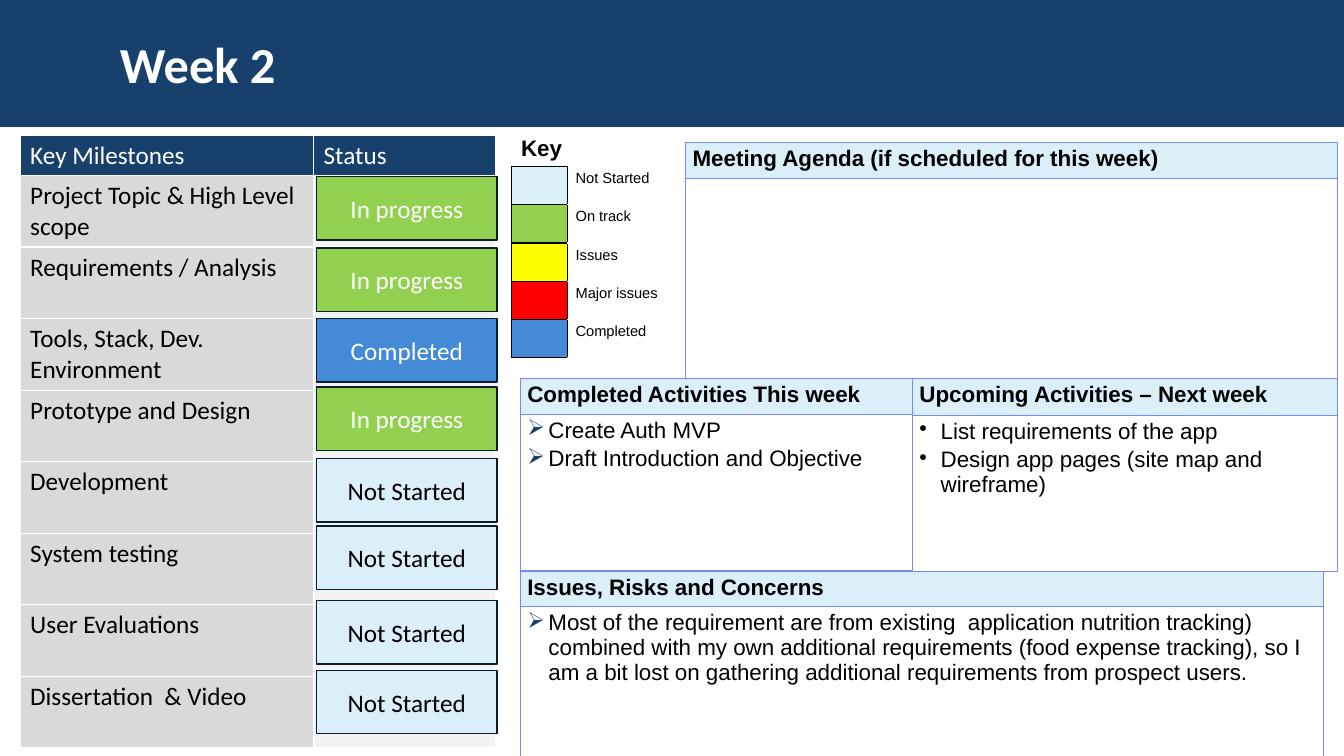
from lxml import etree
from pptx import Presentation, util as u
from pptx.dml.color import RGBColor
from pptx.enum import shapes, text
from pptx.oxml import ns

PX = 9144  # 100 px to the inch

NAVY = RGBColor(0x17, 0x40, 0x6D)
INK = RGBColor(0x0A, 0x1C, 0x30)
WHITE = RGBColor(0xFF, 0xFF, 0xFF)
BLACK = RGBColor(0x00, 0x00, 0x00)
GREY = RGBColor(0xD9, 0xD9, 0xD9)
PALE_GREY = RGBColor(0xF2, 0xF2, 0xF2)
PALE_BLUE = RGBColor(0xDB, 0xEF, 0xF9)
GREEN = RGBColor(0x92, 0xD0, 0x50)
YELLOW = RGBColor(0xFF, 0xFF, 0x00)
RED = RGBColor(0xFF, 0x00, 0x00)
BLUE = RGBColor(0x44, 0x8A, 0xD7)
PERIWINKLE = RGBColor(0x78, 0x89, 0xFB)

MILESTONES = [
    # name, status, top of the status box
    ("Project Topic & High Level scope", "In progress", 175),
    ("Requirements / Analysis", "In progress", 246),
    ("Tools, Stack, Dev. Environment", "Completed", 316),
    ("Prototype and Design", "In progress", 384),
    ("Development", "Not Started", 455),
    ("System testing", "Not Started", 522),
    ("User Evaluations", "Not Started", 596),
    ("Dissertation  & Video", "Not Started", 665),
]
STATUS_COLOURS = {
    "In progress": (GREEN, WHITE),
    "Completed": (BLUE, WHITE),
    "Not Started": (PALE_BLUE, BLACK),
}
KEY = [("Not Started", PALE_BLUE), ("On track", GREEN), ("Issues", YELLOW),
       ("Major issues", RED), ("Completed", BLUE)]
PANELS = [
    # left, top, width, row heights, heading, items, bullet, bullet colour
    (516, 375, 389, (36, 155), "Completed Activities This week",
     ["Create Auth MVP", "Draft Introduction and Objective"], "➢", NAVY),
    (680, 141, 646, (36, 198), "Meeting Agenda (if scheduled for this week)",
     [], None, None),
    (516, 567, 797, (33, 151), "Issues, Risks and Concerns",
     ["Most of the requirement are from existing  application nutrition "
      "tracking) combined with my own additional requirements (food expense "
      "tracking), so I am a bit lost on gathering additional requirements "
      "from prospect users."], "➢", NAVY),
    (905, 375, 421, (37, 155), "Upcoming Activities – Next week",
     ["List requirements of the app",
      "Design app pages (site map and wireframe)"], "•", BLACK),
]


def px(n):
    return u.Emu(n * PX)


def add_bullet(p, char, color):
    pPr = p._p.get_or_add_pPr()
    pPr.set("marL", str(px(21)))
    pPr.set("indent", str(px(-21)))
    clr = etree.SubElement(pPr, ns.qn("a:buClr"))
    etree.SubElement(clr, ns.qn("a:srgbClr"), val=str(color))
    etree.SubElement(pPr, ns.qn("a:buChar"), char=char)


def write(tf, lines, size=18, font="Calibri", color=BLACK, bold=False,
          align=None, after=None, bullet=None, bullet_color=BLACK):
    for i, line in enumerate(lines):
        p = tf.paragraphs[0] if i == 0 else tf.add_paragraph()
        if bullet:
            add_bullet(p, bullet, bullet_color)
        if align is not None:
            p.alignment = align
        if after is not None:
            p.space_after = u.Pt(after)
        r = p.add_run()
        r.text = line
        r.font.size = u.Pt(size)
        r.font.name = font
        r.font.bold = bold
        r.font.color.rgb = color


def add_text(s, x, y, w, h, line, anchor=text.MSO_ANCHOR.TOP, **fmt):
    tf = s.shapes.add_textbox(px(x), px(y), px(w), px(h)).text_frame
    tf.word_wrap = True
    tf.vertical_anchor = anchor
    write(tf, [line], **fmt)


def add_box(s, x, y, w, h, fill, line=None):
    sp = s.shapes.add_shape(shapes.MSO_SHAPE.RECTANGLE, px(x), px(y), px(w), px(h))
    sp.shadow.inherit = False
    sp.fill.solid()
    sp.fill.fore_color.rgb = fill
    if line is None:
        sp.line.fill.background()
    else:
        sp.line.color.rgb = line
        sp.line.width = u.Pt(1)
    return sp


def add_table(s, x, y, cols, rows):
    frame = s.shapes.add_table(len(rows), len(cols), px(x), px(y),
                               px(sum(cols)), px(sum(rows)))
    table = frame.table
    table.first_row = False
    table.horz_banding = False
    for column, w in zip(table.columns, cols):
        column.width = px(w)
    for row, h in zip(table.rows, rows):
        row.height = px(h)
    return table


def format_cell(cell, fill=None, border=None, width=1, sides="LRTB", inset=(10, 5)):
    cell.margin_left = cell.margin_right = px(inset[0])
    cell.margin_top = cell.margin_bottom = px(inset[1])
    tcPr = cell._tc.get_or_add_tcPr()
    for side in sides if border is not None else "":
        ln = etree.SubElement(tcPr, ns.qn("a:ln" + side), w=str(u.Pt(width)))
        solid = etree.SubElement(ln, ns.qn("a:solidFill"))
        etree.SubElement(solid, ns.qn("a:srgbClr"), val=str(border))
    if fill is None:
        cell.fill.background()
    else:
        cell.fill.solid()
        cell.fill.fore_color.rgb = fill


def add_milestones(s):
    table = add_table(s, 20, 134, (291, 181), [40] + [71] * len(MILESTONES))
    for col, heading in enumerate(("Key Milestones", "Status")):
        cell = table.cell(0, col)
        format_cell(cell, NAVY, WHITE)
        write(cell.text_frame, [heading], color=WHITE)
    for row, (name, status, top) in enumerate(MILESTONES, 1):
        format_cell(table.cell(row, 0), GREY, WHITE)
        format_cell(table.cell(row, 1), PALE_GREY, WHITE)
        write(table.cell(row, 0).text_frame, [name])
        # Status box over the second column
        fill, color = STATUS_COLOURS[status]
        tf = add_box(s, 314, top, 179, 63, fill, INK).text_frame
        tf.word_wrap = True
        tf.vertical_anchor = text.MSO_ANCHOR.MIDDLE
        write(tf, [status], color=color, align=text.PP_ALIGN.CENTER)


def add_key(s):
    add_text(s, 507, 128, 150, 37, "Key", size=16, font="Arial", bold=True)
    table = add_table(s, 507, 165, (56, 140), [38] * len(KEY))
    for row, (label, fill) in enumerate(KEY):
        format_cell(table.cell(row, 0), fill, BLACK, inset=(0, 0))
        format_cell(table.cell(row, 1), None, BLACK, sides="L", inset=(8, 4))
        write(table.cell(row, 1).text_frame, [label], size=10.5, font="Arial")


def add_panel(s, x, y, w, rows, heading, items, bullet, bullet_color):
    table = add_table(s, x, y, (w,), rows)
    head, body = table.cell(0, 0), table.cell(1, 0)
    for cell, fill in ((head, PALE_BLUE), (body, None)):
        format_cell(cell, fill, PERIWINKLE, width=0.71, inset=(7, 4))
    write(head.text_frame, [heading], size=16, font="Arial", bold=True)
    write(body.text_frame, items, size=16, font="Arial", after=2.4,
          bullet=bullet, bullet_color=bullet_color)


def main():
    prs = Presentation()
    prs.slide_width, prs.slide_height = px(1333), px(750)
    s = prs.slides.add_slide(prs.slide_layouts[6])

    # Title banner
    add_box(s, 0, 0, 1333, 126, NAVY)
    add_text(s, 109, 21, 1096, 83, "Week 2", anchor=text.MSO_ANCHOR.MIDDLE,
             size=36, color=WHITE, bold=True)

    # Milestones with their status, and the colour key
    add_milestones(s)
    add_key(s)

    # Agenda, activities and issues
    for panel in PANELS:
        add_panel(s, *panel)

    prs.save("out.pptx")


if __name__ == "__main__":
    main()
